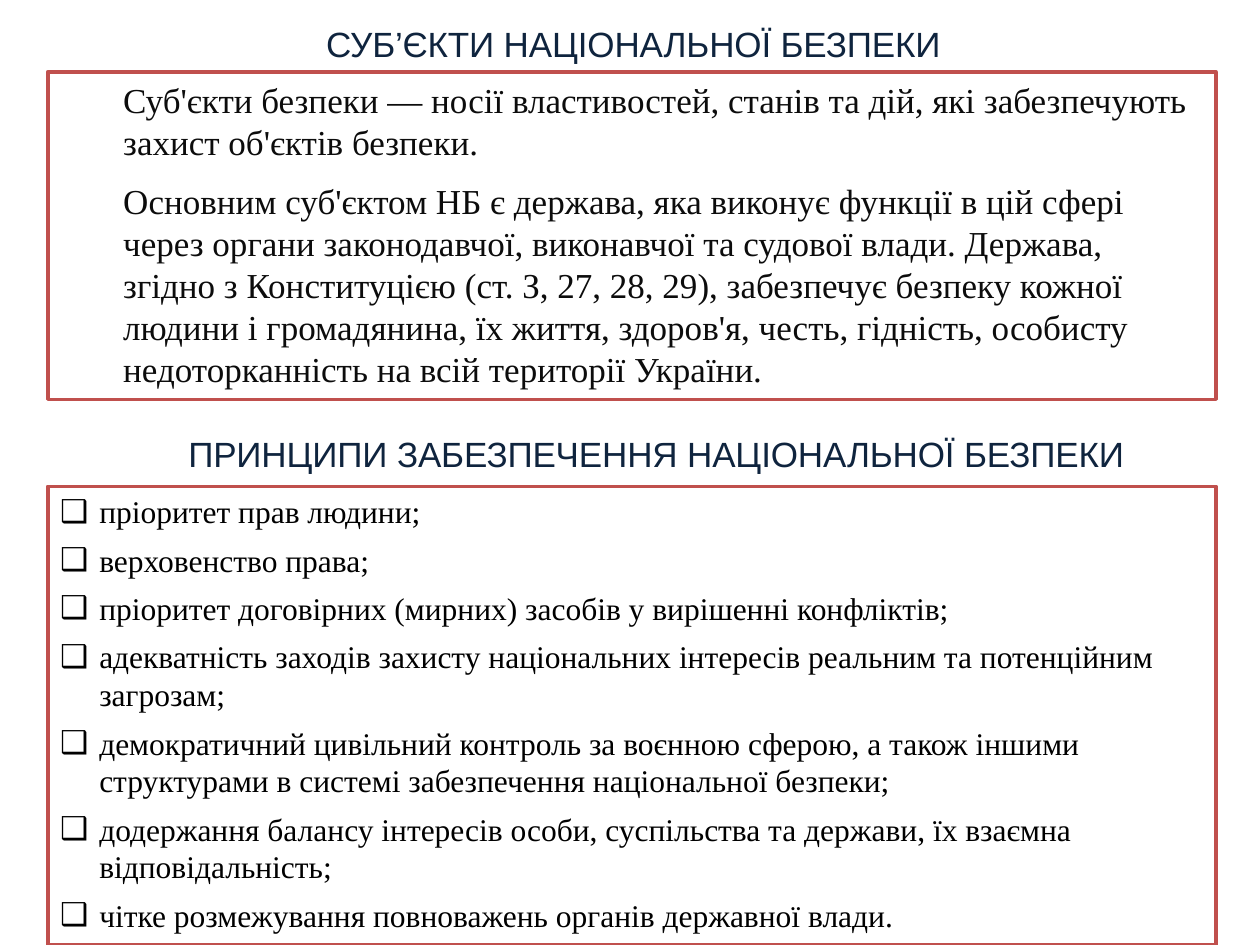
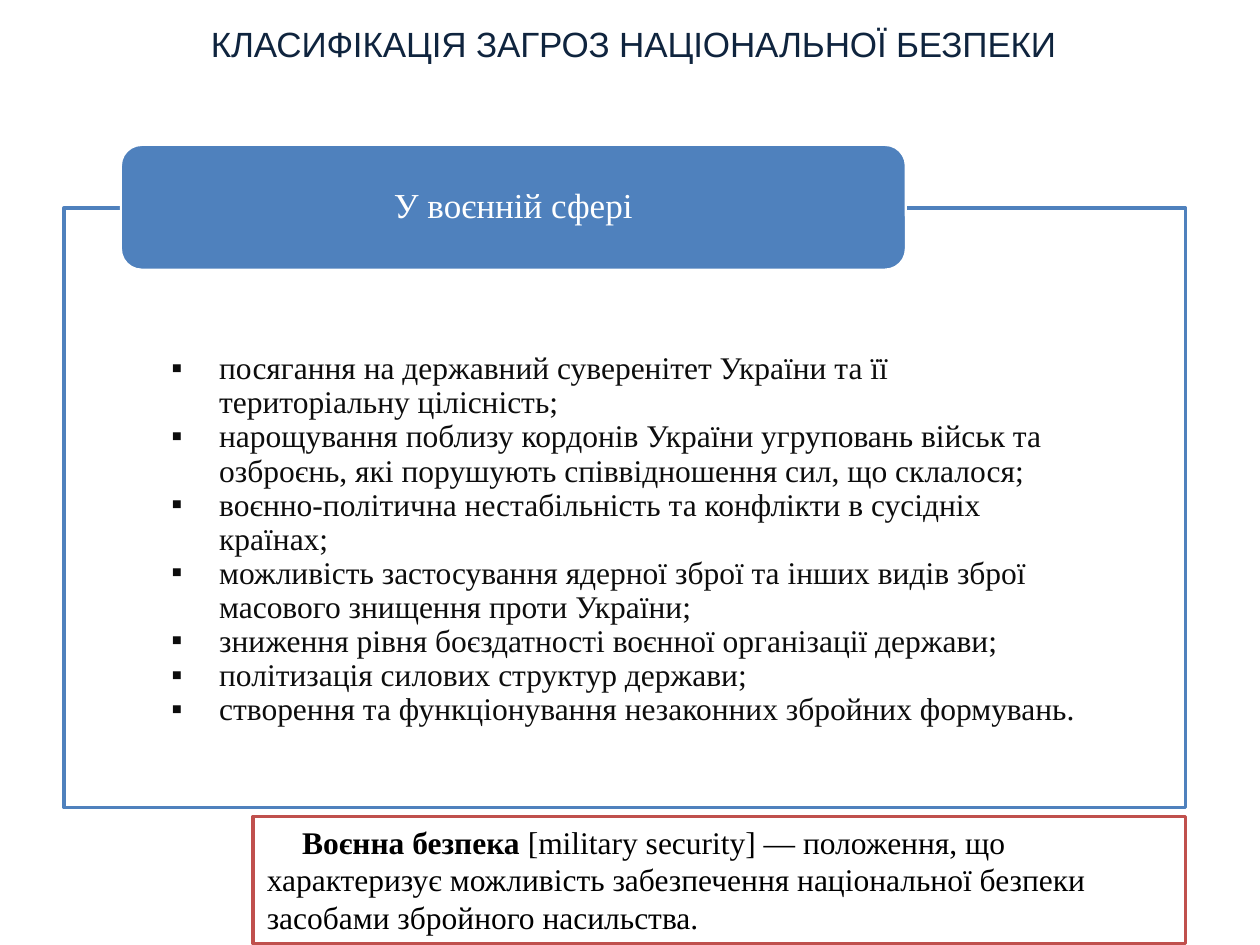
from dataclasses import dataclass

from lxml import etree
from pptx import Presentation
from pptx.dml.color import RGBColor
from pptx.enum.shapes import MSO_SHAPE
from pptx.enum.text import MSO_ANCHOR, MSO_AUTO_SIZE, PP_ALIGN
from pptx.oxml.ns import qn
from pptx.util import Emu, Pt

RECT, ROUNDED = MSO_SHAPE.RECTANGLE, MSO_SHAPE.ROUNDED_RECTANGLE
TOP, MIDDLE = MSO_ANCHOR.TOP, MSO_ANCHOR.MIDDLE
LEFT, CENTER = PP_ALIGN.LEFT, PP_ALIGN.CENTER
NO_FIT, GROW = MSO_AUTO_SIZE.NONE, MSO_AUTO_SIZE.SHAPE_TO_FIT_TEXT

EMU_PER_PX = 9144  # 100 px to the inch
COLORS = {
    "navy": "0F243E", "red": "C0504D", "blue": "4F81BD", "white": "FFFFFF",
    "black": "000000", "ink": "0C0C0C", "charcoal": "0D0D0D",
}
HEADING_FONT, BODY_FONT = "Arial", "Times New Roman"


@dataclass(frozen=True)
class Box:
    left: int
    top: int
    width: int
    height: int


@dataclass(frozen=True)
class TextStyle:
    size: int
    color: str
    font: str = BODY_FONT
    align: PP_ALIGN = LEFT
    margin: int = 0
    indent: int = 0
    bullet: str = ""
    bullet_color: str = "black"
    before: float = 0
    after: float = 0
    line: float = 1.0
    tracking: int = 0


@dataclass(frozen=True)
class Panel:
    box: Box
    line: str
    fill: str = "white"
    line_width: float = 2
    kind: MSO_SHAPE = RECT
    anchor: MSO_ANCHOR = TOP
    fit: MSO_AUTO_SIZE = GROW
    insets: tuple[int, int, int, int] = (10, 5, 10, 5)


HEADING = TextStyle(20, "navy", HEADING_FONT, CENTER, tracking=-10)
SUBJECT = TextStyle(20, "ink", margin=50, before=10)
PRINCIPLE = TextStyle(18, "black", margin=31, indent=-31, bullet="❑", after=6)
THREAT = TextStyle(18, "charcoal", margin=38, indent=-38, bullet="▪",
                   bullet_color="ink", line=0.9)
SPHERE = TextStyle(20, "white", align=CENTER, line=0.9)
DEFINITION = TextStyle(18, "black", margin=1, indent=28)

SUBJECTS = [
    "Суб'єкти безпеки — носії властивостей, станів та дій, які забезпечують захист "
    "об'єктів безпеки.",
    "Основним суб'єктом НБ є держава, яка виконує функції в цій сфері через органи "
    "законодавчої, виконавчої та судової влади. Держава, згідно з Конституцією "
    "(ст. З, 27, 28, 29), забезпечує безпеку кожної людини і громадянина, їх життя, "
    "здоров'я, честь, гідність, особисту недоторканність на всій території України.",
]
PRINCIPLES = [
    "пріоритет прав людини;",
    "верховенство права;",
    "пріоритет договірних (мирних) засобів у вирішенні конфліктів;",
    "адекватність заходів захисту національних інтересів реальним та потенційним "
    "загрозам;",
    "демократичний цивільний контроль за воєнною сферою, а також іншими структурами "
    "в системі забезпечення національної безпеки;",
    "додержання балансу інтересів особи, суспільства та держави, їх взаємна "
    "відповідальність;",
    "чітке розмежування повноважень органів державної влади.",
]
THREATS = [
    "посягання на державний суверенітет України та її територіальну цілісність;",
    "нарощування поблизу кордонів України угруповань військ та озброєнь, які "
    "порушують співвідношення сил, що склалося;",
    "воєнно-політична нестабільність та конфлікти в сусідніх країнах;",
    "можливість застосування ядерної зброї та інших видів зброї масового знищення "
    "проти України;",
    "зниження рівня боєздатності воєнної організації держави;",
    "політизація силових структур держави;",
    "створення та функціонування незаконних збройних формувань.",
]
TERM = "Воєнна безпека "
MEANING = ("[military security] — положення, що характеризує можливість забезпечення "
           "національної безпеки засобами збройного насильства.")


def px(length: int) -> Emu:
    return Emu(length * EMU_PER_PX)


def rgb(name: str) -> RGBColor:
    return RGBColor.from_string(COLORS[name])


def place(box: Box) -> tuple[Emu, Emu, Emu, Emu]:
    return px(box.left), px(box.top), px(box.width), px(box.height)


def style_run(run, style: TextStyle, bold: bool = False) -> None:
    run.font.name, run.font.size, run.font.bold = style.font, Pt(style.size), bold
    run.font.color.rgb = rgb(style.color)
    if style.tracking:
        run.font._element.set("spc", str(style.tracking))


def style_paragraph(paragraph, style: TextStyle, first: bool) -> None:
    properties = paragraph._p.get_or_add_pPr()
    properties.set("marL", str(px(style.margin)))
    properties.set("indent", str(px(style.indent)))
    if style.bullet:
        bullet_color = etree.SubElement(properties, qn("a:buClr"))
        etree.SubElement(bullet_color, qn("a:srgbClr"), val=COLORS[style.bullet_color])
        etree.SubElement(properties, qn("a:buFont"), typeface=HEADING_FONT)
        etree.SubElement(properties, qn("a:buChar"), char=style.bullet)
    paragraph.alignment = style.align
    paragraph.line_spacing = style.line
    paragraph.space_before = Pt(0 if first else style.before)
    paragraph.space_after = Pt(style.after)


def write(frame, lines: list[str], style: TextStyle) -> None:
    frame.text = "\n".join(lines)
    for number, paragraph in enumerate(frame.paragraphs):
        style_paragraph(paragraph, style, number == 0)
        for run in paragraph.runs:
            style_run(run, style)


def add_heading(slide, text: str, left: int = 20, top: int = 13) -> None:
    frame = slide.shapes.add_textbox(*place(Box(left, top, 965, 44))).text_frame
    frame.word_wrap = True
    frame.auto_size = GROW
    write(frame, [text], HEADING)


def add_panel(slide, panel: Panel, lines: list[str], style: TextStyle):
    shape = slide.shapes.add_shape(panel.kind, *place(panel.box))
    shape.shadow.inherit = False
    shape.fill.solid()
    shape.fill.fore_color.rgb = rgb(panel.fill)
    shape.line.color.rgb = rgb(panel.line)
    shape.line.width = Pt(panel.line_width)
    frame = shape.text_frame
    frame.word_wrap = True
    frame.auto_size = panel.fit
    frame.vertical_anchor = panel.anchor
    (frame.margin_left, frame.margin_top,
     frame.margin_right, frame.margin_bottom) = map(px, panel.insets)
    write(frame, lines, style)
    return frame


def build_subjects_and_principles(slide) -> None:
    add_heading(slide, "СУБ’ЄКТИ НАЦІОНАЛЬНОЇ БЕЗПЕКИ")
    add_panel(slide, Panel(Box(38, 57, 927, 260), "red"), SUBJECTS, SUBJECT)
    add_heading(slide, "ПРИНЦИПИ ЗАБЕЗПЕЧЕННЯ НАЦІОНАЛЬНОЇ БЕЗПЕКИ", 38, 338)
    add_panel(slide, Panel(Box(38, 386, 927, 364), "red"), PRINCIPLES, PRINCIPLE)


def build_threats(slide) -> None:
    add_heading(slide, "КЛАСИФІКАЦІЯ ЗАГРОЗ НАЦІОНАЛЬНОЇ БЕЗПЕКИ")
    # Threat list with its overlapping title tab
    add_panel(slide, Panel(Box(51, 165, 890, 476), "blue", anchor=MIDDLE, fit=NO_FIT,
                           insets=(85, 64, 85, 13)), THREATS, THREAT)
    add_panel(slide, Panel(Box(96, 115, 623, 99), "white", "blue", 1.25, ROUNDED,
                           MIDDLE, NO_FIT, (29, 0, 29, 0)), ["У воєнній сфері"], SPHERE)
    # Definition with a bold term
    definition = add_panel(slide, Panel(Box(201, 648, 740, 101), "red"), [TERM], DEFINITION)
    sentence = definition.paragraphs[0]
    style_run(sentence.runs[0], DEFINITION, bold=True)
    meaning = sentence.add_run()
    meaning.text = MEANING
    style_run(meaning, DEFINITION)


def main() -> None:
    deck = Presentation()
    deck.slide_width, deck.slide_height = px(1000), px(750)
    blank = deck.slide_layouts[6]
    for build in (build_subjects_and_principles, build_threats):
        build(deck.slides.add_slide(blank))
    deck.save("out.pptx")


if __name__ == "__main__":
    main()
